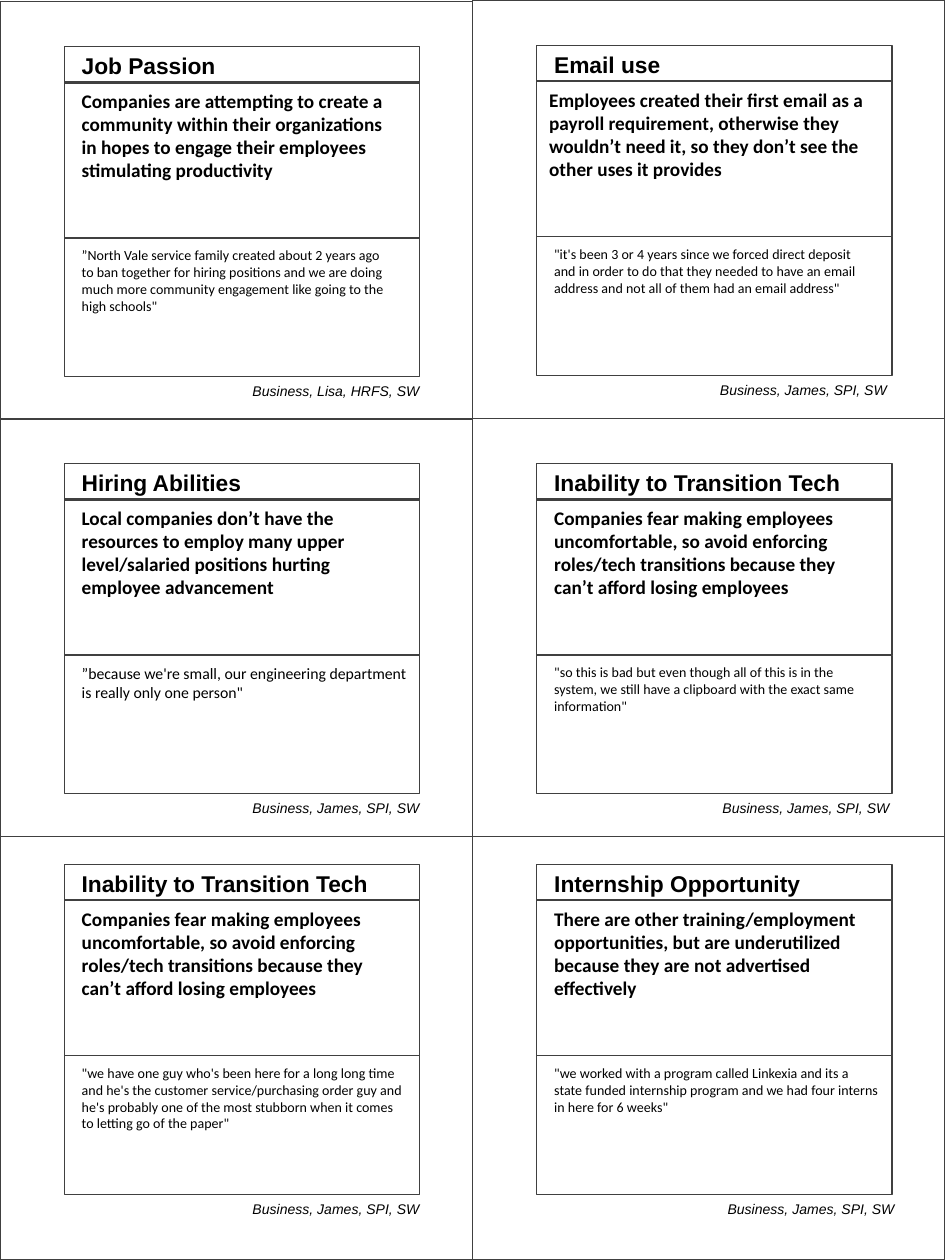
from dataclasses import dataclass

from pptx import Presentation
from pptx import util as u
from pptx.dml.color import RGBColor
from pptx.enum import shapes, text


class Theme:
    ink = RGBColor(0x00, 0x00, 0x00)
    line = RGBColor(0x40, 0x40, 0x40)
    line_width = u.Pt(0.75)
    heading = dict(name="Arial", size=u.Pt(13), bold=True)
    insight = dict(name="Calibri", size=u.Pt(11), bold=True)
    quote = dict(name="Calibri", size=u.Pt(8))
    large_quote = dict(name="Calibri", size=u.Pt(9))
    credit = dict(name="Arial", size=u.Pt(8), italic=True)


@dataclass
class Card:
    col: int
    row: int
    title: str
    title_w: float
    insight: str
    quote: str
    quote_w: float = 2.78
    insight_w: float = 2.7
    insight_dx: float = 0.04
    insight_h: float = 0.84
    quote_h: float = 0.5
    quote_style: str = "quote"
    credit: str = "Business, James, SPI, SW"
    credit_dx: float = -0.16
    dy: float = 0


COL_W = 3.75
ROW_TOPS = (0, 3.32, 6.64)
ROW_HEIGHTS = (3.32, 3.32, 3.36)
FRAME_OFFSETS = (0.36, 0.36, 0.22)
FRAME_X, FRAME_W = 0.51, 2.82
BANDS = ((0, 0.29), (0.28, 1.24), (1.52, 1.1))

TRANSITION = (
    "Companies fear making employees uncomfortable, so avoid enforcing "
    "roles/tech transitions because they can’t afford losing employees"
)

CARDS = [
    Card(0, 0, "Job Passion", 1.28,
         "Companies are attempting to create a community within their "
         "organizations in hopes to engage their employees stimulating productivity",
         "”North Vale service family created about 2 years ago to ban together "
         "for hiring positions and we are doing much more community engagement "
         "like going to the high schools\"",
         quote_w=2.61, quote_h=0.64, credit="Business, Lisa, HRFS, SW", dy=0.01),
    Card(1, 0, "Email use", 1.05,
         "Employees created their first email as a payroll requirement, otherwise "
         "they wouldn’t need it, so they don’t see the other uses it provides",
         "\"it's been 3 or 4 years since we forced direct deposit and in order to "
         "do that they needed to have an email address and not all of them had an "
         "email address\"",
         quote_w=2.7, insight_w=2.82, insight_dx=0, credit_dx=-0.2),
    Card(0, 1, "Hiring Abilities", 1.48,
         "Local companies don’t have the resources to employ many upper "
         "level/salaried positions hurting employee advancement",
         "”because we're small, our engineering department is really only one person\"",
         insight_w=2.77, quote_h=0.4, quote_style="large_quote"),
    Card(1, 1, "Inability to Transition Tech", 2.5, TRANSITION,
         "\"so this is bad but even though all of this is in the system, we still "
         "have a clipboard with the exact same information\"",
         quote_w=2.61, credit_dx=-0.18),
    Card(0, 2, "Inability to Transition Tech", 2.5, TRANSITION,
         "\"we have one guy who's been here for a long long time and he's the "
         "customer service/purchasing order guy and he's probably one of the most "
         "stubborn when it comes to letting go of the paper\"",
         insight_w=2.78, quote_h=0.64),
    Card(1, 2, "Internship Opportunity", 2.18,
         "There are other training/employment opportunities, but are underutilized "
         "because they are not advertised effectively",
         "\"we worked with a program called Linkexia and its a state funded "
         "internship program and we had four interns in here for 6 weeks\"",
         credit_dx=-0.14),
]


class CardSheet:
    def __init__(self, slide, theme):
        self.s = slide
        self.theme = theme

    def box(self, parent, x, y, w, h):
        sp = parent.shapes.add_shape(
            shapes.MSO_SHAPE.RECTANGLE, *map(u.Inches, (x, y, w, h)))
        sp.shadow.inherit = False
        sp.fill.background()
        sp.line.color.rgb = self.theme.line
        sp.line.width = self.theme.line_width

    def label(self, parent, words, style, x, y, w, h, wrap=True,
              align=text.PP_ALIGN.LEFT):
        sp = parent.shapes.add_textbox(*map(u.Inches, (x, y, w, h)))
        tf = sp.text_frame
        tf.word_wrap = wrap
        tf.auto_size = text.MSO_AUTO_SIZE.SHAPE_TO_FIT_TEXT
        p = tf.paragraphs[0]
        p.alignment = align
        r = p.add_run()
        r.text = words
        for key, value in style.items():
            setattr(r.font, key, value)
        r.font.color.rgb = self.theme.ink

    def card(self, c):
        g = self.s.shapes.add_group_shape()
        left = c.col * COL_W
        top = ROW_TOPS[c.row] + c.dy
        x, y = left + FRAME_X, top + FRAME_OFFSETS[c.row]
        self.box(g, left, top, COL_W, ROW_HEIGHTS[c.row])
        for offset, height in BANDS:
            self.box(g, x, y + offset, FRAME_W, height)
        self.label(g, c.title, self.theme.heading,
                   x + 0.04, y - 0.01, c.title_w, 0.32, wrap=False)
        self.label(g, c.insight, self.theme.insight,
                   x + c.insight_dx, y + 0.29, c.insight_w, c.insight_h)
        self.label(g, c.quote, getattr(self.theme, c.quote_style),
                   x + 0.04, y + 1.54, c.quote_w, c.quote_h)
        self.label(self.s, c.credit, self.theme.credit,
                   x + c.credit_dx, y + 2.62, 3.08, 0.24,
                   align=text.PP_ALIGN.RIGHT)


def main():
    prs = Presentation()
    prs.slide_width, prs.slide_height = u.Inches(7.5), u.Inches(10)
    sheet = CardSheet(prs.slides.add_slide(prs.slide_layouts[6]), Theme)
    for c in CARDS:
        sheet.card(c)
    prs.save("out.pptx")


if __name__ == "__main__":
    main()
